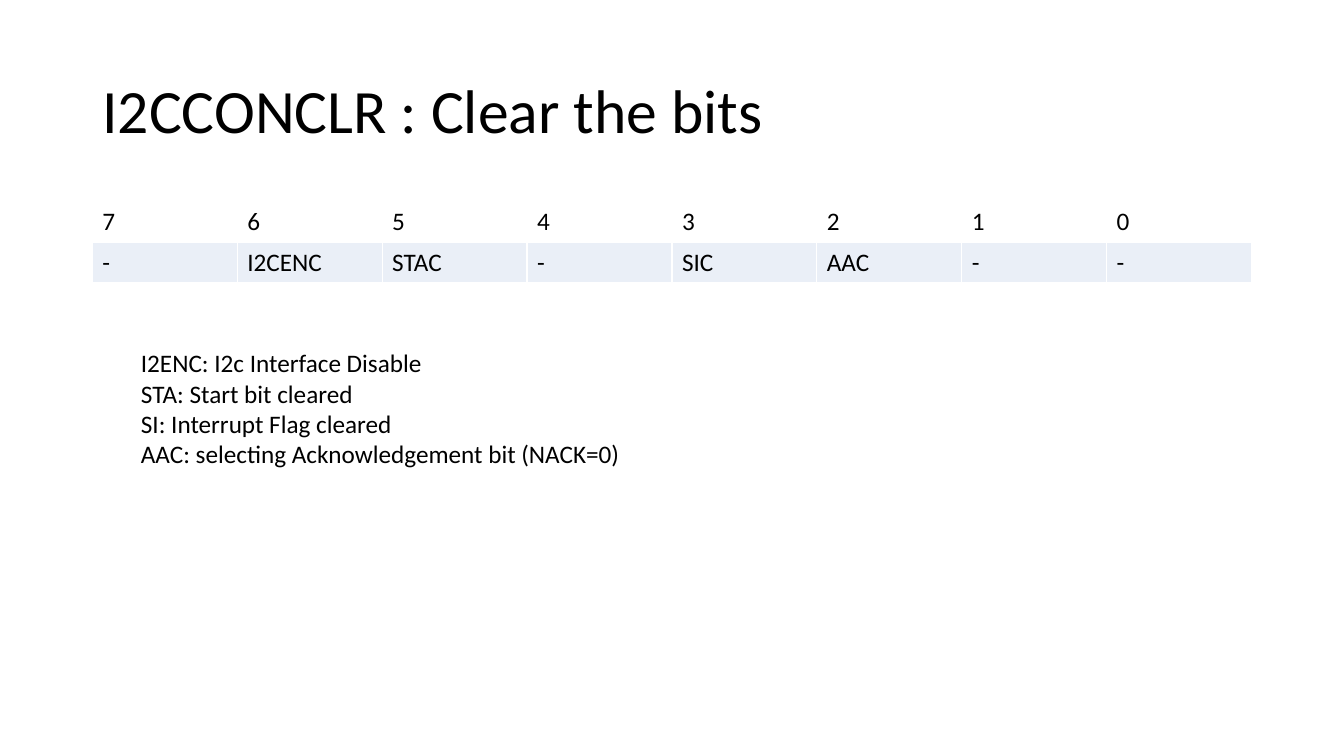
"""Build the I2CCONCLR register slide."""
from pptx import Presentation
from pptx.dml.color import RGBColor
from pptx.enum.text import MSO_ANCHOR, MSO_AUTO_SIZE, PP_ALIGN
from pptx.util import Pt

LEFT = PP_ALIGN.LEFT
MIDDLE = MSO_ANCHOR.MIDDLE
NO_FIT = MSO_AUTO_SIZE.NONE
GROW = MSO_AUTO_SIZE.SHAPE_TO_FIT_TEXT
TITLE_ONLY = 5

TITLE = "I2CCONCLR : Clear the bits"
REGISTER = [
    ["7", "6", "5", "4", "3", "2", "1", "0"],
    ["-", "I2CENC", "STAC", "-", "SIC", "AAC", "-", "-"],
]
ROW_FILLS = ["FFFFFF", "EAEFF7"]
DESCRIPTIONS = [
    "I2ENC: I2c Interface Disable",
    "STA: Start bit cleared",
    "SI: Interrupt Flag cleared",
    "AAC: selecting Acknowledgement bit (NACK=0)",
]

MARGIN = 66
CONTENT_WIDTH = 828
ROW_HEIGHT = 29.2


def color(value):
    return RGBColor.from_string(value)


def write(frame, text, size=18, font="Calibri", fill="000000", spacing=1.0):
    frame.text = text
    for paragraph in frame.paragraphs:
        paragraph.alignment = LEFT
        paragraph.line_spacing = spacing
        for run in paragraph.runs:
            run.font.size = Pt(size)
            run.font.name = font
            run.font.color.rgb = color(fill)


def place(shape, left, top, width, height):
    shape.left, shape.top = Pt(left), Pt(top)
    shape.width, shape.height = Pt(width), Pt(height)


def main():
    presentation = Presentation()
    presentation.slide_width, presentation.slide_height = Pt(960), Pt(540)
    slide = presentation.slides.add_slide(presentation.slide_layouts[TITLE_ONLY])

    title = slide.shapes.title
    place(title, MARGIN, 28.75, CONTENT_WIDTH, 104.4)
    title.text_frame.auto_size = NO_FIT
    title.text_frame.vertical_anchor = MIDDLE
    write(title.text_frame, TITLE, size=44, spacing=0.9)

    table = slide.shapes.add_table(
        len(REGISTER), len(REGISTER[0]), Pt(MARGIN), Pt(143.75),
        Pt(CONTENT_WIDTH), Pt(ROW_HEIGHT * len(REGISTER))).table
    table.first_row = False
    table.horz_banding = False
    for row, labels, fill in zip(table.rows, REGISTER, ROW_FILLS):
        for cell, label in zip(row.cells, labels):
            cell.fill.solid()
            cell.fill.fore_color.rgb = color(fill)
            write(cell.text_frame, label)

    description = slide.shapes.add_textbox(Pt(93.6), Pt(244.8), Pt(559.4), Pt(94.5))
    description.text_frame.word_wrap = True
    description.text_frame.auto_size = GROW
    write(description.text_frame, "\n".join(DESCRIPTIONS))

    presentation.save("out.pptx")


if __name__ == "__main__":
    main()
